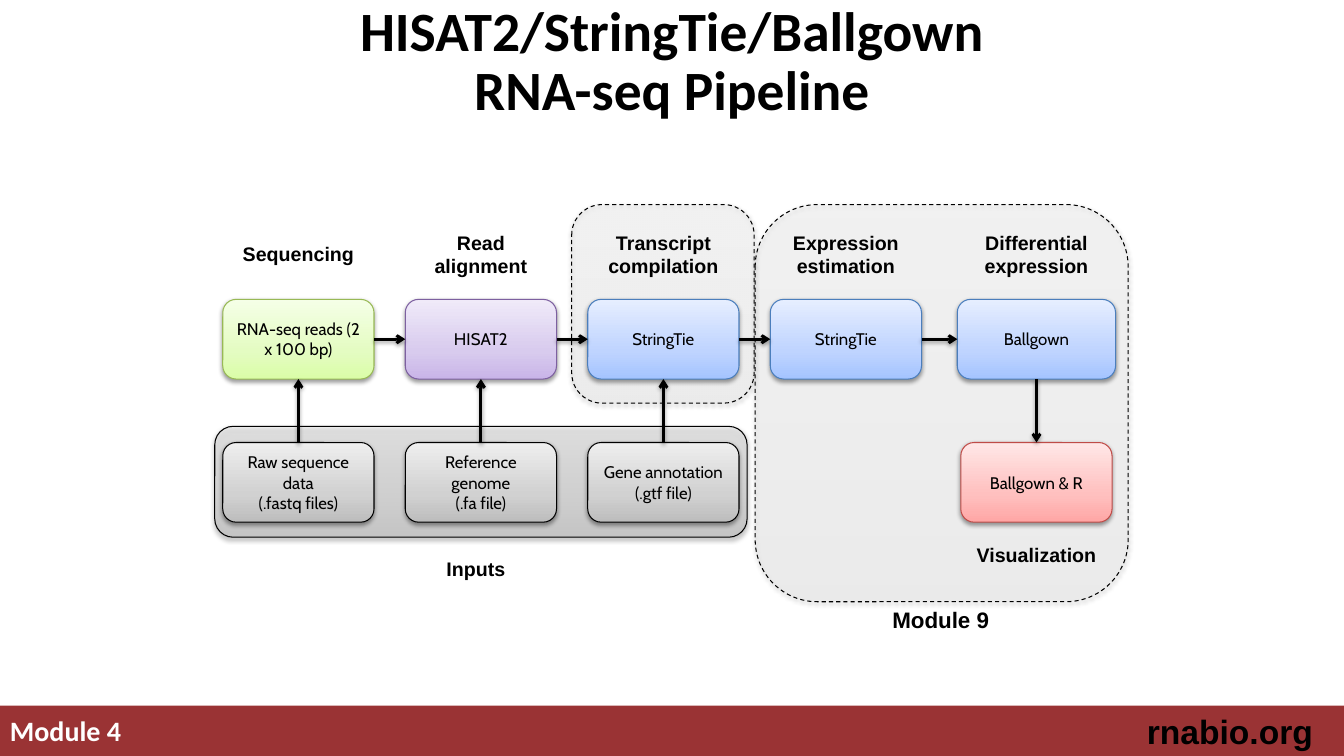
from lxml import etree
from pptx import Presentation
from pptx.dml.color import RGBColor
from pptx.enum.dml import MSO_LINE
from pptx.enum.shapes import MSO_CONNECTOR, MSO_SHAPE
from pptx.enum.text import MSO_ANCHOR, PP_ALIGN
from pptx.oxml import parse_xml
from pptx.oxml.ns import nsdecls, qn
from pptx.util import Inches, Pt

ROUNDED = MSO_SHAPE.ROUNDED_RECTANGLE
RECT = MSO_SHAPE.RECTANGLE
STRAIGHT = MSO_CONNECTOR.STRAIGHT
DASH = MSO_LINE.DASH
MIDDLE = MSO_ANCHOR.MIDDLE
LEFT, CENTER, RIGHT = PP_ALIGN.LEFT, PP_ALIGN.CENTER, PP_ALIGN.RIGHT
TOP_SIDE, LEFT_SIDE, BOTTOM_SIDE, RIGHT_SIDE = range(4)

SLIDE_W, SLIDE_H = 13.33, 7.5
COLUMN = 1.81
COLUMN_CENTERS = [2.96 + COLUMN * i for i in range(4)] + [10.28]
STEP_Y, INPUT_Y, HEADING_Y = 2.97, 4.39, 2.52
BOX_W, BOX_H = 1.5, 0.79

GRAY = ("BDBDBD", "D1D1D1", "EEEEEE")
GREEN = ("DAFDA7", "E4FCC2", "F5FFE7")
PURPLE = ("C9B5E8", "D8CBEE", "F0EAF9")
BLUE = ("A4C4FF", "BFD4FF", "E6EEFF")
RED = ("FFA6A5", "FFC0BF", "FFE7E7")

STEPS = [
    ("Sequencing", COLUMN, "RNA-seq reads (2 x 100 bp)", BOX_W, GREEN, "98B955"),
    ("Read alignment", 1.36, "HISAT2", BOX_W, PURPLE, "7D60A0"),
    ("Transcript compilation", COLUMN, "StringTie", BOX_W, BLUE, "4B7EBC"),
    ("Expression estimation", COLUMN, "StringTie", BOX_W, BLUE, "4B7EBC"),
    ("Differential expression", COLUMN, "Ballgown", 1.57, BLUE, "4B7EBC"),
]
INPUTS = [
    "Raw sequence data\n(.fastq files)",
    "Reference genome\n(.fa file)",
    "Gene annotation\n(.gtf file)",
]


def rgb(value):
    return RGBColor.from_string(value)


def add_shadow(s):
    s._element.spPr.append(parse_xml(
        f'<a:effectLst {nsdecls("a")}><a:outerShdw blurRad="{Pt(3.1)}" '
        f'dist="{Pt(1.6)}" dir="5400000" rotWithShape="0">'
        '<a:srgbClr val="000000"><a:alpha val="38000"/></a:srgbClr>'
        '</a:outerShdw></a:effectLst>'))


def fill_gradient(sp, colors, opacity):
    sp.fill.background()
    grad = parse_xml(
        f'<a:gradFill {nsdecls("a")} rotWithShape="1"><a:gsLst/>'
        '<a:lin ang="16200000" scaled="0"/></a:gradFill>')
    for position, color in zip((0, 35, 100), colors):
        gs = etree.SubElement(grad[0], qn("a:gs"), pos=str(position * 1000))
        clr = etree.SubElement(gs, qn("a:srgbClr"), val=color)
        if opacity < 100:
            etree.SubElement(clr, qn("a:alpha"), val=str(opacity * 1000))
    spPr = sp._element.spPr
    spPr.replace(spPr.find(qn("a:noFill")), grad)


def write(tf, text, size, font, color="000000", bold=False, align=CENTER):
    tf.word_wrap = True
    tf.vertical_anchor = MIDDLE
    tf.text = text
    for p in tf.paragraphs:
        p.alignment = align
        p.font.size = Pt(size)
        p.font.name = font
        p.font.bold = bold
        p.font.color.rgb = rgb(color)


def add_text(s, text, x, y, w, h, size, font="Arial", **style):
    tf = s.add_textbox(Inches(x), Inches(y), Inches(w), Inches(h)).text_frame
    write(tf, text, size, font, bold=True, **style)
    return tf


def add_label(s, text, center_x, center_y, w=COLUMN, h=0.34, size=14):
    add_text(s, text, center_x - w / 2, center_y - h / 2, w, h, size)


def add_panel(s, x, y, w, h, colors, outline="000000", opacity=100, dash=None):
    sp = s.add_shape(ROUNDED, Inches(x), Inches(y), Inches(w), Inches(h))
    fill_gradient(sp, colors, opacity)
    sp.line.color.rgb = rgb(outline)
    sp.line.width = Pt(0.75)
    if dash:
        sp.line.dash_style = dash
    add_shadow(sp)
    return sp


def add_box(s, text, center_x, y, colors, outline="000000", w=BOX_W):
    sp = add_panel(s, center_x - w / 2, y, w, BOX_H, colors, outline)
    write(sp.text_frame, text, 12, "Cabin")
    return sp


def add_arrow(s, start, start_side, end, end_side):
    c = s.add_connector(STRAIGHT, 0, 0, 0, 0)
    c.begin_connect(start, start_side)
    c.end_connect(end, end_side)
    c.line.color.rgb = rgb("000000")
    c.line.width = Pt(2)
    etree.SubElement(c.line._get_or_add_ln(), qn("a:tailEnd"), type="arrow")
    add_shadow(c)


def add_footer(s):
    bar = s.add_shape(RECT, 0, Inches(7), Inches(SLIDE_W), Inches(0.5))
    bar.shadow.inherit = False
    bar.fill.solid()
    bar.fill.fore_color.rgb = rgb("9A3334")
    bar.line.fill.background()
    add_text(s, "Module 4", 0, 7.03, 7.33, 0.44, 20, "Calibri",
             color="FFFFFF", align=LEFT)
    add_text(s, "rnabio.org", 10.54, 7, 2.58, 0.5, 24, align=RIGHT)


def add_pipeline(s):
    steps = []
    for center, (heading, heading_w, text, w, colors, outline) in zip(
            COLUMN_CENTERS, STEPS):
        steps.append(add_box(s, text, center, STEP_Y, colors, outline, w))
        add_label(s, heading, center, HEADING_Y, heading_w, 0.57)
    for start, end in zip(steps, steps[1:]):
        add_arrow(s, start, RIGHT_SIDE, end, LEFT_SIDE)

    last = COLUMN_CENTERS[-1]
    plots = add_box(s, "Ballgown & R", last, INPUT_Y, RED, "BF4C48")
    add_label(s, "Visualization", last, 5.5)
    add_arrow(s, steps[-1], BOTTOM_SIDE, plots, TOP_SIDE)

    for center, text, step in zip(COLUMN_CENTERS, INPUTS, steps):
        source = add_box(s, text, center, INPUT_Y, GRAY)
        add_arrow(s, source, TOP_SIDE, step, BOTTOM_SIDE)
    add_label(s, "Inputs", 4.72, 5.64)


def main():
    prs = Presentation()
    prs.slide_width, prs.slide_height = Inches(SLIDE_W), Inches(SLIDE_H)
    s = prs.slides.add_slide(prs.slide_layouts[6]).shapes

    add_footer(s)
    title = add_text(s, "HISAT2/StringTie/Ballgown\vRNA-seq Pipeline",
                     1.83, 0, 9.67, 1.25, 39.6, "Calibri")
    title.paragraphs[0].line_spacing = 0.9

    add_panel(s, 5.67, 2.03, COLUMN, 1.97, GRAY, opacity=13, dash=DASH)
    add_panel(s, 7.49, 2.03, 3.7, 3.94, GRAY, opacity=13, dash=DASH)
    add_label(s, "Module 9", 9.33, 6.15, h=0.37, size=16)
    add_panel(s, 2.13, 4.23, 5.28, 1.1, GRAY, opacity=51)
    add_pipeline(s)

    prs.save("out.pptx")


if __name__ == "__main__":
    main()
